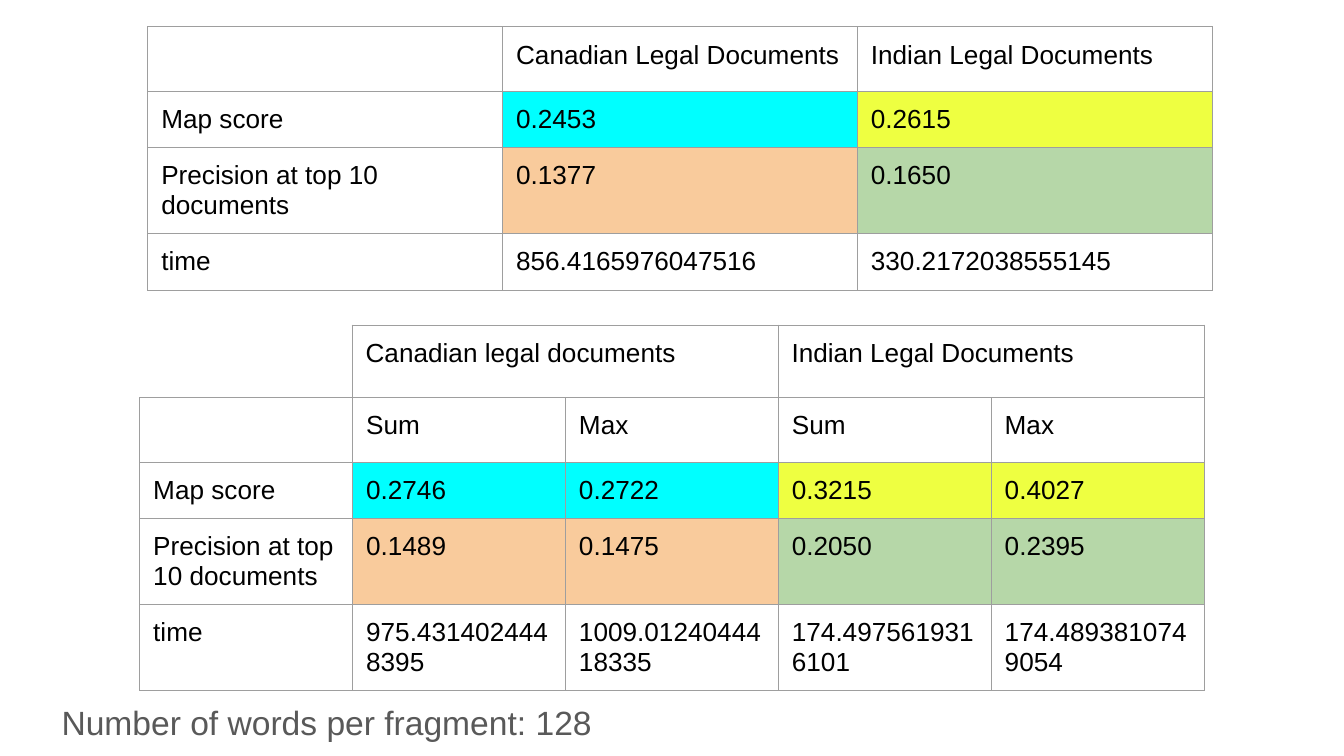
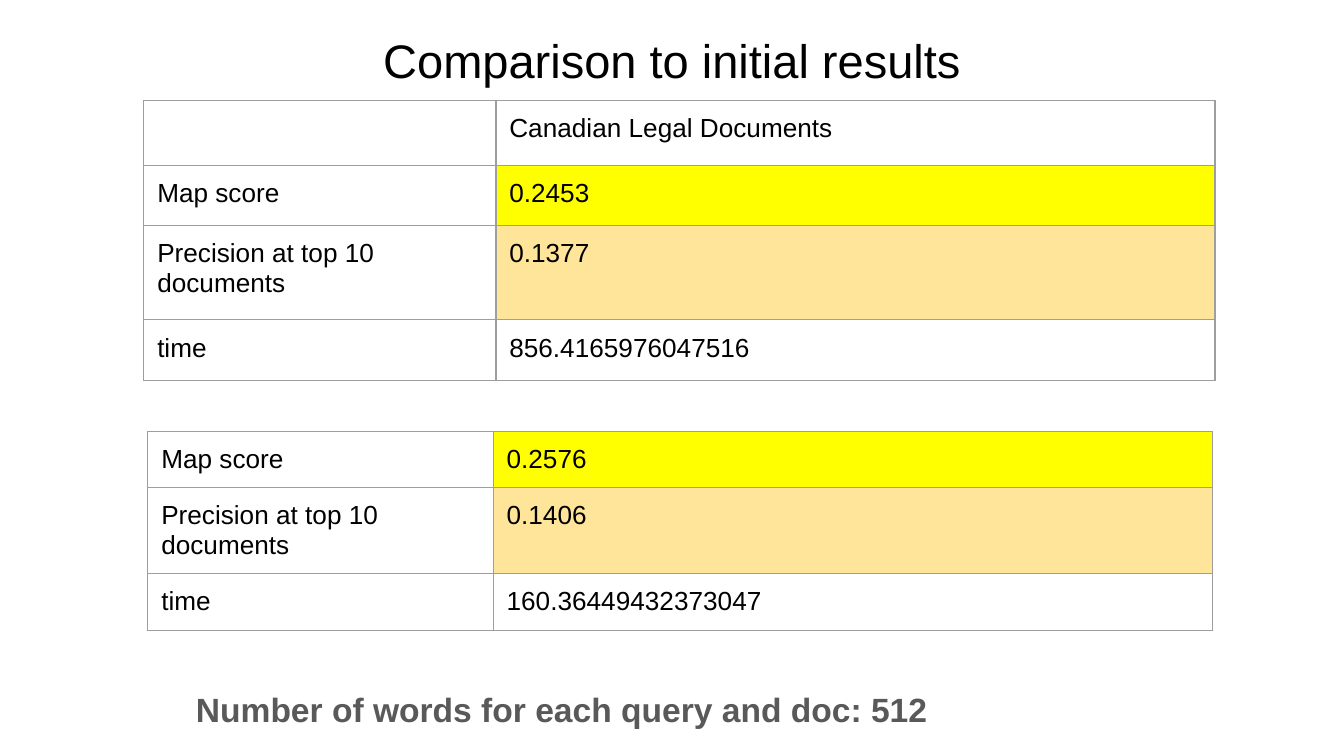
from dataclasses import dataclass

from lxml import etree
from pptx import Presentation
from pptx.dml.color import RGBColor
from pptx.enum.text import MSO_ANCHOR, MSO_AUTO_SIZE, PP_ALIGN
from pptx.oxml.ns import qn
from pptx.util import Inches, Pt

TOP, MIDDLE = MSO_ANCHOR.TOP, MSO_ANCHOR.MIDDLE
LEFT, CENTER = PP_ALIGN.LEFT, PP_ALIGN.CENTER
NO_AUTOFIT = MSO_AUTO_SIZE.NONE
TITLE_ONLY, BLANK = 5, 6


@dataclass(frozen=True)
class Theme:
    font: str = "Arial"
    text: str = "000000"
    note: str = "595959"
    background: str = "FFFFFF"
    border: str = "9E9E9E"
    cyan: str = "00FFFF"
    lime: str = "EEFF41"
    orange: str = "F9CB9C"
    green: str = "B6D7A8"
    yellow: str = "FFFF00"
    sand: str = "FFE599"
    title_size: float = 25.2
    note_size: float = 18
    cell_size: float = 14
    border_width: float = 0.75
    inset: float = 0.1


THEME = Theme()
MAP_SCORE = "Map score"
PRECISION = "Precision at top 10 documents"
TIME = "time"


def add_run(p, text, size, color, bold=False):
    r = p.add_run()
    r.text = text
    r.font.name = THEME.font
    r.font.size = Pt(size)
    r.font.bold = bold
    r.font.color.rgb = RGBColor.from_string(color)


def format_frame(tf, anchor):
    tf.word_wrap = True
    tf.auto_size = NO_AUTOFIT
    tf.vertical_anchor = anchor
    inset = Inches(THEME.inset)
    tf.margin_left = tf.margin_right = tf.margin_top = tf.margin_bottom = inset


def add_slide(prs, layout):
    s = prs.slides.add_slide(prs.slide_layouts[layout])
    s.background.fill.solid()
    s.background.fill.fore_color.rgb = RGBColor.from_string(THEME.background)
    return s


def set_title(s, text, left, top, width, height):
    sp = s.shapes.title
    sp.left, sp.top = Inches(left), Inches(top)
    sp.width, sp.height = Inches(width), Inches(height)
    format_frame(sp.text_frame, MIDDLE)
    p = sp.text_frame.paragraphs[0]
    p.alignment = CENTER
    add_run(p, text, THEME.title_size, THEME.text)


def add_note(s, text, left, top, width, height, bold=False):
    sp = s.shapes.add_textbox(Inches(left), Inches(top), Inches(width), Inches(height))
    format_frame(sp.text_frame, TOP)
    p = sp.text_frame.paragraphs[0]
    p.alignment = LEFT
    p.line_spacing = 1.15
    p.space_after = Pt(12)
    add_run(p, text, THEME.note_size, THEME.note, bold)


def set_borders(cell):
    tc_pr = cell._tc.get_or_add_tcPr()
    for side in ("lnL", "lnR", "lnT", "lnB"):
        ln = etree.SubElement(tc_pr, qn(f"a:{side}"), w=str(Pt(THEME.border_width)))
        fill = etree.SubElement(ln, qn("a:solidFill"))
        etree.SubElement(fill, qn("a:srgbClr"), val=THEME.border)


def set_empty_size(p):
    size = str(int(THEME.cell_size * 100))
    end = etree.SubElement(p._p, qn("a:endParaRPr"), sz=size)
    etree.SubElement(end, qn("a:latin"), typeface=THEME.font)


def format_cell(cell, text, color):
    inset = Inches(THEME.inset)
    cell.margin_left = cell.margin_right = cell.margin_top = cell.margin_bottom = inset
    cell.vertical_anchor = TOP
    set_borders(cell)
    if color:
        cell.fill.solid()
        cell.fill.fore_color.rgb = RGBColor.from_string(color)
    else:
        cell.fill.background()
    p = cell.text_frame.paragraphs[0]
    if text:
        add_run(p, text, THEME.cell_size, THEME.text)
    else:
        set_empty_size(p)


def add_results(s, left, top, widths, heights, rows, fills=None):
    fills = fills or {}
    frame = s.shapes.add_table(
        len(rows), len(widths), Inches(left), Inches(top),
        Inches(sum(widths)), Inches(sum(heights)))
    table = frame.table
    table.first_row = table.horz_banding = False
    for column, width in zip(table.columns, widths):
        column.width = Inches(width)
    for i, (height, texts) in enumerate(zip(heights, rows)):
        table.rows[i].height = Inches(height)
        colors = [None, *fills.get(texts[0], [None] * (len(texts) - 1))]
        for j, (text, color) in enumerate(zip(texts, colors)):
            format_cell(table.cell(i, j), text, color)


def build_fragment_slide(prs):
    s = add_slide(prs, BLANK)
    add_note(s, "Number of words per fragment: 128", 0.36, 5.08, 9.41, 0.54)
    add_results(
        s, 1.04, 2.96, [7.92 / 5] * 5, [0.48, 0.42, 0.64, 0.64],
        [["", "Sum", "Max", "Sum", "Max"],
         [MAP_SCORE, "0.2746", "0.2722", "0.3215", "0.4027"],
         [PRECISION, "0.1489", "0.1475", "0.2050", "0.2395"],
         [TIME, "975.4314024448395", "1009.0124044418335",
          "174.4975619316101", "174.4893810749054"]],
        {MAP_SCORE: [THEME.cyan] * 2 + [THEME.lime] * 2,
         PRECISION: [THEME.orange] * 2 + [THEME.green] * 2})
    add_results(
        s, 2.62, 2.42, [3.17] * 2, [0.54],
        [["Canadian legal documents", "Indian Legal Documents"]])
    add_results(
        s, 1.1, 0.2, [2.64] * 3, [0.48, 0.42, 0.64, 0.42],
        [["", "Canadian Legal Documents", "Indian Legal Documents"],
         [MAP_SCORE, "0.2453", "0.2615"],
         [PRECISION, "0.1377", "0.1650"],
         [TIME, "856.4165976047516", "330.2172038555145"]],
        {MAP_SCORE: [THEME.cyan, THEME.lime],
         PRECISION: [THEME.orange, THEME.green]})


def build_comparison_slide(prs):
    s = add_slide(prs, TITLE_ONLY)
    set_title(s, "Comparison to initial results", 0.34, 0.13, 9.32, 0.63)
    add_note(s, "Number of words for each query and doc: 512",
             1.36, 4.98, 7.4, 0.51, bold=True)
    fills = {MAP_SCORE: [THEME.yellow], PRECISION: [THEME.sand]}
    add_results(
        s, 1.1, 3.21, [2.57, 5.35], [0.42, 0.64, 0.42],
        [[MAP_SCORE, "0.2576"],
         [PRECISION, "0.1406"],
         [TIME, "160.36449432373047"]],
        fills)
    add_results(
        s, 1.07, 0.75, [2.62, 5.35], [0.48, 0.45, 0.7, 0.45],
        [["", "Canadian Legal Documents"],
         [MAP_SCORE, "0.2453"],
         [PRECISION, "0.1377"],
         [TIME, "856.4165976047516"]],
        fills)


def main():
    prs = Presentation()
    prs.slide_width = Inches(10)
    prs.slide_height = prs.slide_width * 9 // 16
    build_fragment_slide(prs)
    build_comparison_slide(prs)
    prs.save("out.pptx")


if __name__ == "__main__":
    main()
